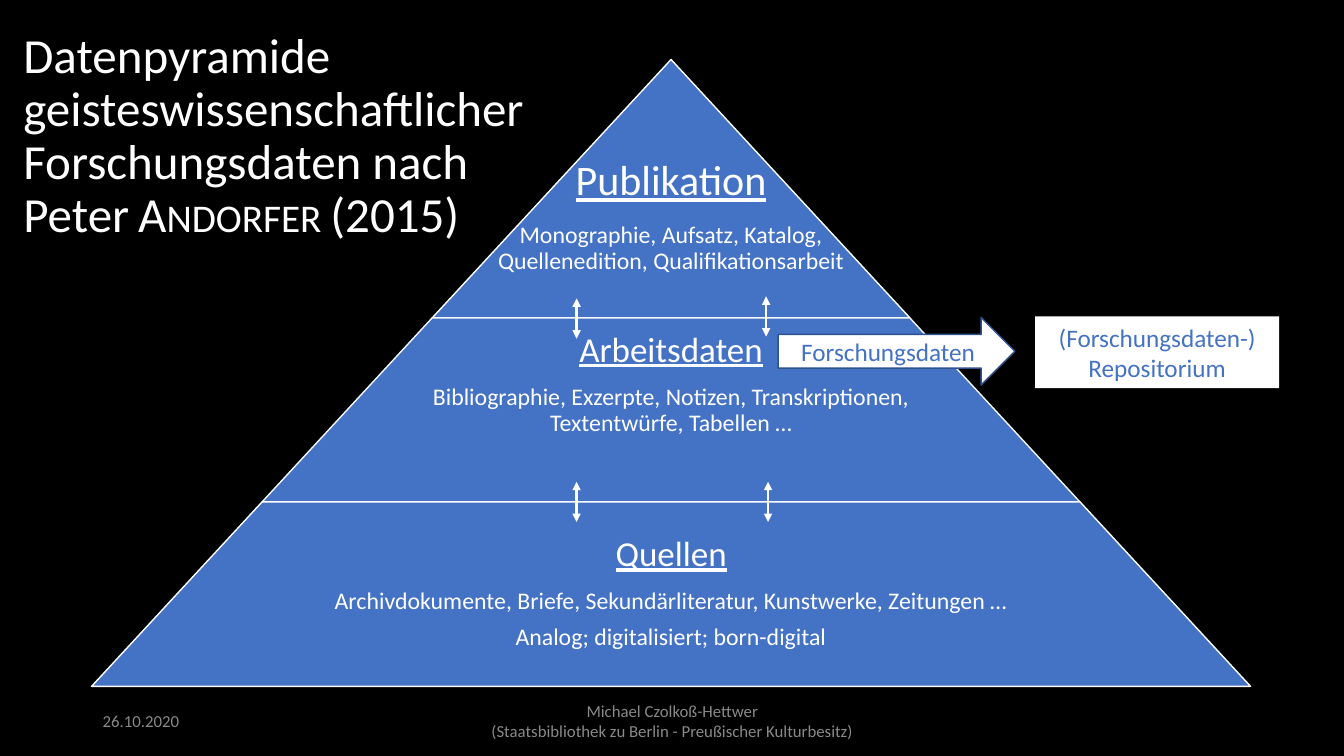
import pptx
import pptx.util
import pptx.dml.color
import pptx.enum.shapes
import pptx.enum.text
import pptx.oxml.ns
import lxml.etree

WIDTH = pptx.util.Inches(13.33)
HEIGHT = pptx.util.Inches(7.5)
FONT = "Calibri"
COLORS = {
    "black": "000000",
    "white": "FFFFFF",
    "blue": "4472C4",
    "pale": "F6F8FC",
    "navy": "2F528F",
    "gray": "898989",
}
APEX_X, APEX_Y, BASE_Y, HALF_BASE = 49.93, 7.87, 90.8, 43.12
LEVELS = [
    (APEX_Y, 42.04, "white", 3.75, 13.2, "Publikation", 30, 13,
     ["Monographie, Aufsatz, Katalog, Quellenedition, Qualifikationsarbeit"]),
    (42.04, 66.4, "pale", 10.95, 1.87, "Arbeitsdaten", 25, 11,
     ["Bibliographie, Exzerpte, Notizen, Transkriptionen, Textentwürfe, Tabellen …"]),
    (66.4, BASE_Y, "white", 15.38, 4.53, "Quellen", 25, 11,
     ["Archivdokumente, Briefe, Sekundärliteratur, Kunstwerke, Zeitungen …",
      "Analog; digitalisiert; born-digital"]),
]
EXCHANGES = [(42.9, 63.73), (42.9, 39.47), (57, 39.2), (57.15, 63.73)]
EXCHANGE_LENGTH = 5.33
FOOTER_TOP, FOOTER_HEIGHT = 92.67, 5.33


def across(percent):
    return round(WIDTH * percent / 100)


def down(percent):
    return round(HEIGHT * percent / 100)


def area(left, top, width, height):
    return across(left), down(top), across(width), down(height)


def rgb(name):
    return pptx.dml.color.RGBColor.from_string(COLORS[name])


def paint(shape, fill, line=None):
    shape.shadow.inherit = False
    shape.fill.solid()
    shape.fill.fore_color.rgb = rgb(fill)
    if line:
        shape.line.color.rgb = rgb(line)
        shape.line.width = pptx.util.Pt(1)
    else:
        shape.line.fill.background()


def style(para, size, color, centered=True):
    para.font.name = FONT
    para.font.size = pptx.util.Pt(size)
    para.font.color.rgb = rgb(color)
    align = pptx.enum.text.PP_ALIGN
    para.alignment = align.CENTER if centered else align.LEFT


def write(shape, lines, size, color, centered=True):
    frame = shape.text_frame
    frame.word_wrap = True
    frame.vertical_anchor = pptx.enum.text.MSO_ANCHOR.MIDDLE
    frame.text = "\n".join(lines)
    for para in frame.paragraphs:
        style(para, size, color, centered)
    return frame


def add_title(page):
    box = page.shapes.add_textbox(*area(1, 1.33, 39.08, 33.6))
    frame = write(box, [""], 35, "white", False)
    para = frame.paragraphs[0]
    para.line_spacing = 0.9
    for words in ("Datenpyramide geisteswissenschaftlicher Forschungsdaten nach Peter",
                  " Andorfer ", "(2015)"):
        span = para.add_run()
        span.text = words
        if "Andorfer" in words:
            span.font._element.set("cap", "small")


def half_width(level):
    return HALF_BASE * (level - APEX_Y) / (BASE_Y - APEX_Y)


def add_level(page, top, bottom, line, side, inset, heading, size, gap, details):
    upper, lower = half_width(top), half_width(bottom)
    corners = [(APEX_X - lower, bottom), (APEX_X - upper, top),
               (APEX_X + upper, top), (APEX_X + lower, bottom)]
    points = [(across(x), down(y)) for x, y in corners]
    builder = page.shapes.build_freeform(*points[0])
    builder.add_line_segments(points[1:], close=True)
    level = builder.convert_to_shape()
    paint(level, "blue", line)
    frame = write(level, [heading] + details, 17, "white")
    frame.vertical_anchor = pptx.enum.text.MSO_ANCHOR.TOP
    frame.margin_left = frame.margin_right = across(side)
    frame.margin_top, frame.margin_bottom = down(inset), 0
    for para in frame.paragraphs:
        para.line_spacing = 0.9
        para.space_after = pptx.util.Pt(7)
    first = frame.paragraphs[0]
    first.font.size = pptx.util.Pt(size)
    first.font.underline = True
    first.space_after = pptx.util.Pt(gap)


def add_label(page, kind, place, lines, outline=None):
    label = page.shapes.add_shape(kind, *area(*place))
    paint(label, "white", outline)
    write(label, lines, 18, "blue")


def add_exchange(page, x, top):
    arrow = page.shapes.add_connector(
        pptx.enum.shapes.MSO_CONNECTOR.STRAIGHT,
        across(x), down(top), across(x), down(top + EXCHANGE_LENGTH))
    arrow.line.color.rgb = rgb("white")
    arrow.line.width = pptx.util.Pt(2)
    line = arrow.line._get_or_add_ln()
    for end in ("a:headEnd", "a:tailEnd"):
        lxml.etree.SubElement(line, pptx.oxml.ns.qn(end), type="triangle")
    lxml.etree.SubElement(arrow._element.spPr, pptx.oxml.ns.qn("a:effectLst"))


def add_footer(page, left, width, lines, centered):
    box = page.shapes.add_textbox(*area(left, FOOTER_TOP, width, FOOTER_HEIGHT))
    write(box, lines, 12, "gray", centered)


def main():
    deck = pptx.Presentation()
    deck.slide_width, deck.slide_height = WIDTH, HEIGHT
    page = deck.slides.add_slide(deck.slide_layouts[6])
    page.background.fill.solid()
    page.background.fill.fore_color.rgb = rgb("black")
    add_title(page)
    add_footer(page, 6.9, 22.5, ["26.10.2020"], False)
    add_footer(page, 33.15, 33.75,
               ["Michael Czolkoß-Hettwer",
                "(Staatsbibliothek zu Berlin - Preußischer Kulturbesitz)"], True)
    for level in LEVELS:
        add_level(page, *level)
    shapes = pptx.enum.shapes.MSO_SHAPE
    add_label(page, shapes.RIGHT_ARROW, (57.9, 42, 17.62, 8.93),
              ["Forschungsdaten"], "navy")
    add_label(page, shapes.RECTANGLE, (77.02, 41.87, 18.15, 9.47),
              ["(Forschungsdaten-)", "Repositorium"])
    for x, top in EXCHANGES:
        add_exchange(page, x, top)
    deck.save("out.pptx")


main()
